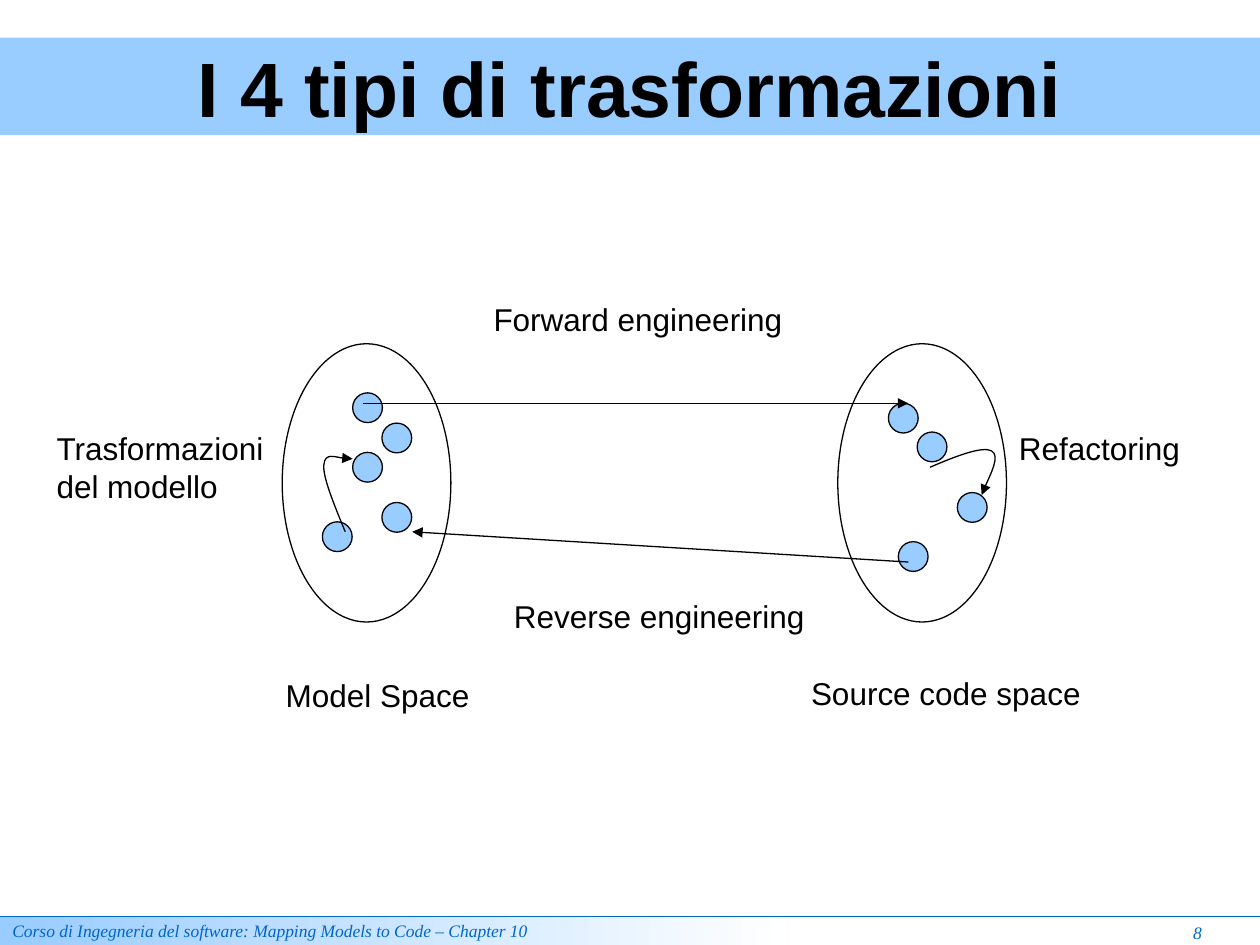
import pptx
import pptx.util
import pptx.dml.color
import pptx.enum.shapes
import pptx.enum.text
import pptx.oxml
import pptx.oxml.ns

Cm, Pt = pptx.util.Cm, pptx.util.Pt
SHAPE = pptx.enum.shapes.MSO_SHAPE
ALIGN = pptx.enum.text.PP_ALIGN
ANCHOR = pptx.enum.text.MSO_ANCHOR
qn = pptx.oxml.ns.qn

THEME = {
    "ink": "000000", "sky": "99CCFF", "blue": "0066CC", "paper": "FFFFFF",
    "sans": "Arial", "serif": "Times New Roman",
    "title": 44, "label": 18, "foot": 10, "line": 0.75,
}

# All places are in centimetres.
WIDE, HIGH = 25.4, 19.05
TITLE = "I 4 tipi di trasformazioni"
FOOT = "Corso di Ingegneria del software: Mapping Models to Code – Chapter 10"
PAGE = "8"
FOOT_TOP = 18.47

SPACE_TOP, SPACE_SIZE, DOT = 6.93, (3.4, 5.61), 0.6
SPACES = [
    (5.69, [(7.11, 7.92), (7.7, 8.53), (7.11, 9.12), (7.7, 10.13), (6.5, 10.52)]),
    (16.89, [(17.91, 8.13), (18.49, 8.71), (19.3, 9.93), (18.11, 10.92)]),
]
LABELS = [
    ("Trasformazioni del modello", 0.89, 8.53, 5, 1.78),
    ("Model Space", 5.51, 13.51, 5.41, 1.02),
    ("Source code space", 16.1, 13.46, 6.6, 1.02),
    ("Forward engineering", 9.7, 5.92, 7.8, 1.02),
    ("Reverse engineering", 10.11, 11.91, 7.39, 1.02),
    ("Refactoring", 20.29, 8.53, 5.11, 1.02),
]
ARROWS = [
    ((7.32, 8.13), (18.31, 8.13)),
    ((18.31, 11.33), (8.31, 10.72)),
]
# Start, then two control points and an end for each bend.
CURVES = [
    [(6.96, 10.72), (6.73, 10.16), (6.5, 9.6), (6.53, 9.37),
     (6.55, 9.12), (6.99, 9.27), (7.11, 9.25)],
    [(18.75, 9.42), (19.28, 9.19), (19.81, 8.99), (19.99, 9.09),
     (20.17, 9.19), (19.84, 9.83), (19.79, 9.98)],
]


def tint(name):
    return pptx.dml.color.RGBColor.from_string(THEME[name])


def write(shape, text, size, face, color, bold=False, italic=False,
          align=ALIGN.LEFT, anchor=ANCHOR.TOP):
    frame = shape.text_frame
    frame.text = text
    frame.word_wrap = True
    frame.vertical_anchor = anchor
    para = frame.paragraphs[0]
    para.alignment = align
    font = para.runs[0].font
    font.name, font.size = THEME[face], Pt(THEME[size])
    font.bold, font.italic = bold, italic
    font.color.rgb = tint(color)


def stroke(shape, color="ink", arrow=False):
    shape.line.color.rgb = tint(color)
    shape.line.width = Pt(THEME["line"])
    if arrow:
        head = pptx.oxml.parse_xml(
            '<a:tailEnd %s type="triangle"/>' % pptx.oxml.ns.nsdecls("a"))
        shape.line._get_or_add_ln().append(head)


def add_oval(slide, left, top, wide, high, fill=None):
    oval = slide.shapes.add_shape(
        SHAPE.OVAL, Cm(left), Cm(top), Cm(wide), Cm(high))
    oval.shadow.inherit = False
    if fill:
        oval.fill.solid()
        oval.fill.fore_color.rgb = tint(fill)
    else:
        oval.fill.background()
    stroke(oval)


def add_line(slide, start, end, color="ink", arrow=False):
    line = slide.shapes.add_connector(
        pptx.enum.shapes.MSO_CONNECTOR.STRAIGHT,
        *[Cm(n) for n in start + end])
    stroke(line, color, arrow)
    line._element.spPr.append(pptx.oxml.parse_xml(
        "<a:effectLst %s/>" % pptx.oxml.ns.nsdecls("a")))


def add_curve(slide, points):
    """Draw a freeform and merge each three straight parts into one Bezier."""
    spots = [(Cm(x), Cm(y)) for x, y in points]
    form = slide.shapes.build_freeform(*spots[0])
    form.add_line_segments(spots[1:], close=False)
    curve = form.convert_to_shape()
    curve.shadow.inherit = False
    curve.fill.background()
    stroke(curve, arrow=True)
    parts = list(curve._element.iter(qn("a:lnTo")))
    for i in range(0, len(parts), 3):
        bend = pptx.oxml.parse_xml(
            "<a:cubicBezTo %s/>" % pptx.oxml.ns.nsdecls("a"))
        parts[i].addprevious(bend)
        for part in parts[i:i + 3]:
            bend.append(part[0])
            part.getparent().remove(part)


def add_label(slide, text, left, top, wide, high, **style):
    box = slide.shapes.add_textbox(Cm(left), Cm(top), Cm(wide), Cm(high))
    write(box, text, **style)


def add_title(slide):
    title = slide.shapes.title
    title.left, title.top = Cm(0), Cm(0.76)
    title.width, title.height = Cm(WIDE), Cm(1.96)
    title.fill.solid()
    title.fill.fore_color.rgb = tint("sky")
    write(title, TITLE, "title", "sans", "ink", bold=True,
          align=ALIGN.CENTER, anchor=ANCHOR.MIDDLE)
    title.text_frame.auto_size = pptx.enum.text.MSO_AUTO_SIZE.NONE


def add_foot(slide):
    style = dict(size="foot", face="serif", color="blue", italic=True)
    add_label(slide, PAGE, 22.63, FOOT_TOP, 1.85, 0.69,
              align=ALIGN.RIGHT, **style)
    bar = slide.shapes.add_shape(
        SHAPE.RECTANGLE, Cm(0), Cm(FOOT_TOP), Cm(15.9), Cm(HIGH - FOOT_TOP))
    bar.shadow.inherit = False
    bar.line.fill.background()
    bar.fill.gradient()
    bar.fill.gradient_angle = 0
    for stop, name in zip(bar.fill.gradient_stops, ("sky", "paper")):
        stop.color.rgb = tint(name)
    write(bar, FOOT, anchor=ANCHOR.MIDDLE, **style)
    add_line(slide, (0, FOOT_TOP), (WIDE, FOOT_TOP), "blue")


def main():
    deck = pptx.Presentation()
    deck.slide_width, deck.slide_height = Cm(WIDE), Cm(HIGH)
    slide = deck.slides.add_slide(deck.slide_layouts[5])
    add_title(slide)
    for left, dots in SPACES:
        add_oval(slide, left, SPACE_TOP, *SPACE_SIZE)
        for x, y in dots:
            add_oval(slide, x, y, DOT, DOT, "sky")
    for start, end in ARROWS:
        add_line(slide, start, end, arrow=True)
    for points in CURVES:
        add_curve(slide, points)
    for label in LABELS:
        add_label(slide, *label, size="label", face="sans", color="ink")
    add_foot(slide)
    deck.save("out.pptx")


if __name__ == "__main__":
    main()
